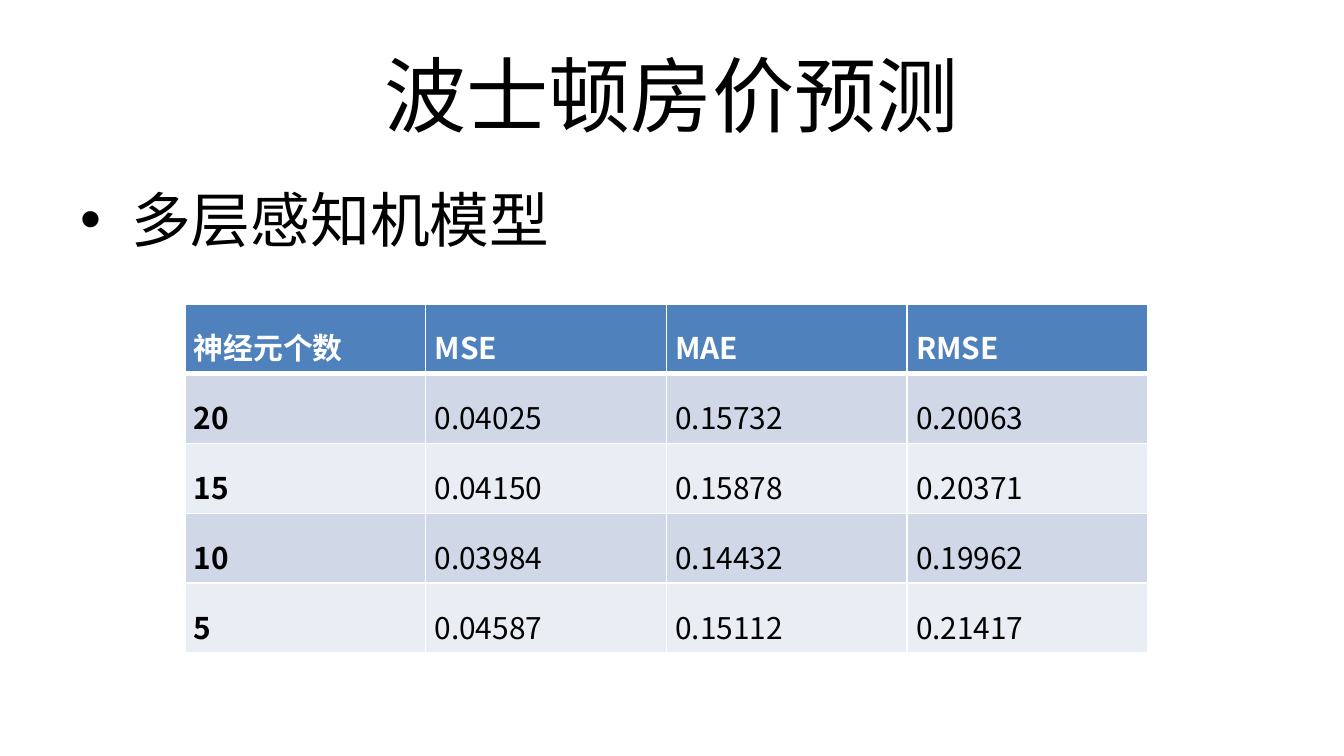
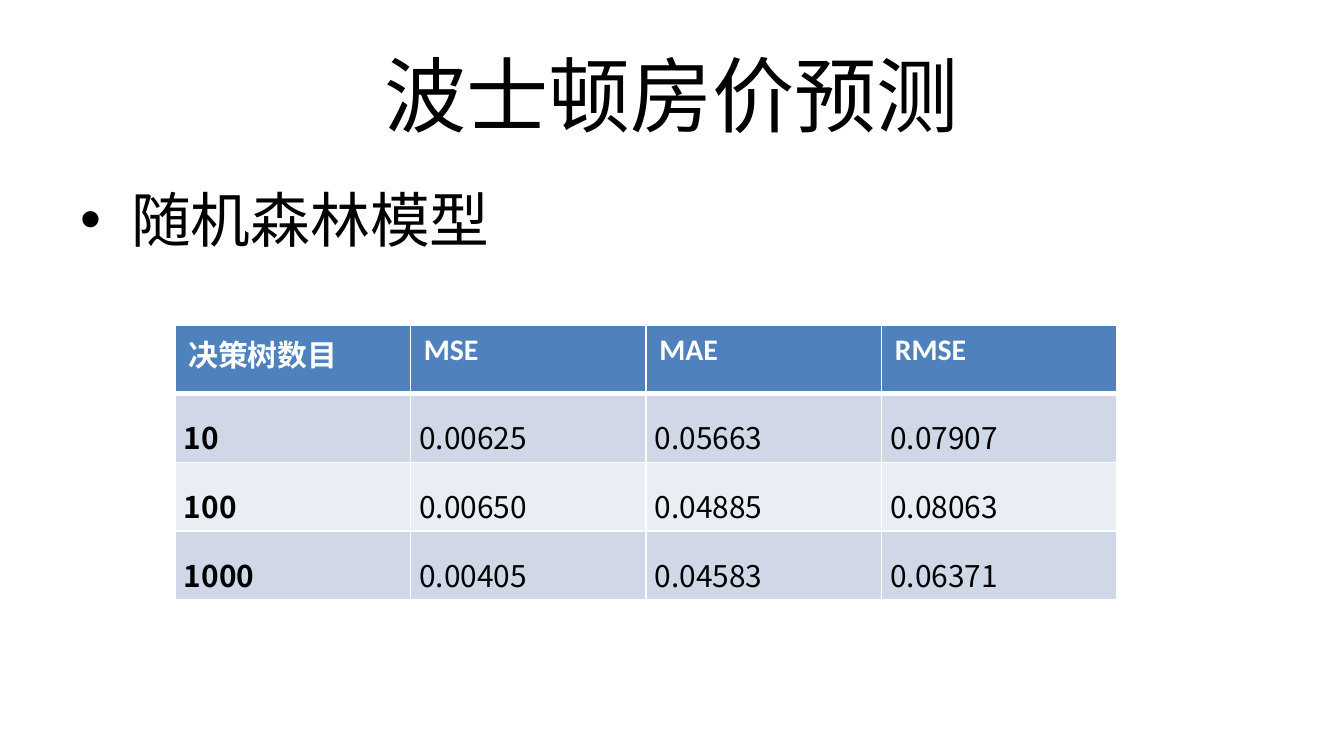
from lxml import etree
from pptx import Presentation, util as u
from pptx.dml.color import RGBColor
from pptx.enum import text
from pptx.oxml.ns import qn

SCALE = 914400 / 134.4
COLORS = {"ink": "000000", "paper": "FFFFFF", "header": "4F81BD",
          "odd": "D0D8E8", "even": "E9EDF4"}
LATIN, SERIF, CJK = "Calibri", "Times New Roman", "Noto Sans CJK SC"
TITLE_BOX = (67, 31, 1210, 126)
BODY_BOX = (67, 176, 1210, 499)
COMPACT = {"margin_left": 9, "margin_right": 9, "margin_top": 0, "margin_bottom": 0}
JUSTIFIED = {"alignment": text.PP_ALIGN.JUSTIFY, "line_spacing": 1.5}


def px(pixels):
    """Turn pixels into EMU."""
    return u.Emu(round(pixels * SCALE))


def apply(target, values):
    """Set every attribute of a format dict on the target."""
    for name, value in values.items():
        setattr(target, name, value)


def write(paragraph, words, size, font, color="ink", bold=False):
    """Add one formatted run with Latin and East Asian fonts."""
    run = paragraph.add_run()
    run.text = words
    apply(run.font, {"size": u.Pt(size), "name": font, "bold": bold})
    run.font.color.rgb = RGBColor.from_string(COLORS[color])
    east_asian = etree.Element(qn("a:ea"), typeface=CJK)
    run.font._element.find(qn("a:latin")).addnext(east_asian)


def add_heading(slide, box, words):
    """Place the centred slide title."""
    frame = slide.shapes.add_textbox(*map(px, box)).text_frame
    apply(frame, {"word_wrap": True, "vertical_anchor": text.MSO_ANCHOR.MIDDLE})
    title = frame.paragraphs[0]
    title.alignment = text.PP_ALIGN.CENTER
    write(title, words, 44, LATIN)


def add_bullet(slide, box, words):
    """Place the bulleted model name."""
    frame = slide.shapes.add_textbox(*map(px, box)).text_frame
    frame.word_wrap = True
    model = frame.paragraphs[0]
    model.space_before = u.Pt(6.4)
    properties = model._p.get_or_add_pPr()
    properties.set("marL", str(px(51)))
    properties.set("indent", str(-px(51)))
    etree.SubElement(properties, qn("a:buFont"), typeface="Arial")
    etree.SubElement(properties, qn("a:buChar"), char="•")
    write(model, words, 32, LATIN)


def add_borders(cell, top, bottom):
    """Draw white cell borders, with top and bottom widths in points."""
    properties = cell._tc.get_or_add_tcPr()
    widths = {"lnL": 1, "lnR": 1, "lnT": top, "lnB": bottom}
    for position, (side, width) in enumerate(widths.items()):
        line = etree.Element(qn("a:" + side), w=str(u.Pt(width)))
        fill = etree.SubElement(line, qn("a:solidFill"))
        etree.SubElement(fill, qn("a:srgbClr"), val=COLORS["paper"])
        properties.insert(position, line)


def add_scores(slide, box, rows, compact_header):
    """Place the score table with a blue header and banded rows."""
    table = slide.shapes.add_table(len(rows), len(rows[0]), *map(px, box)).table
    for column in table.columns:
        column.width = px(box[2] / len(rows[0]))
    for r, row in enumerate(rows):
        table.rows[r].height = px(box[3] / len(rows))
        band = "header" if r == 0 else "odd" if r % 2 else "even"
        for c, words in enumerate(row):
            cell = table.cell(r, c)
            cell.fill.solid()
            cell.fill.fore_color.rgb = RGBColor.from_string(COLORS[band])
            add_borders(cell, 3 if r == 1 else 1, 3 if r == 0 else 1)
            paragraph = cell.text_frame.paragraphs[0]
            font = CJK
            if r or compact_header:
                apply(cell, {side: px(gap) for side, gap in COMPACT.items()})
                apply(paragraph, JUSTIFIED)
                font = SERIF if r == c == 0 else CJK
            else:
                font = LATIN
            write(paragraph, words, 16, font, "ink" if r else "paper", r == 0 or c == 0)


def add_model_slide(deck, model, box, rows, compact_header):
    """Build one slide of model results."""
    slide = deck.slides.add_slide(deck.slide_layouts[6])
    add_heading(slide, TITLE_BOX, "波士顿房价预测")
    add_bullet(slide, BODY_BOX, model)
    add_scores(slide, box, rows, compact_header)


METRICS = ("MSE", "MAE", "RMSE")
PERCEPTRON = [
    ("神经元个数", *METRICS),
    ("20", "0.04025", "0.15732", "0.20063"),
    ("15", "0.04150", "0.15878", "0.20371"),
    ("10", "0.03984", "0.14432", "0.19962"),
    ("5", "0.04587", "0.15112", "0.21417"),
]
FOREST = [
    ("决策树数目", *METRICS),
    ("10", "0.00625", "0.05663", "0.07907"),
    ("100", "0.00650", "0.04885", "0.08063"),
    ("1000", "0.00405", "0.04583", "0.06371"),
]

deck = Presentation()
apply(deck, {"slide_width": px(1344), "slide_height": px(756)})
add_model_slide(deck, "多层感知机模型", (185, 304, 963, 349), PERCEPTRON, True)
add_model_slide(deck, "随机森林模型", (175, 325, 942, 275), FOREST, False)
deck.save("out.pptx")
